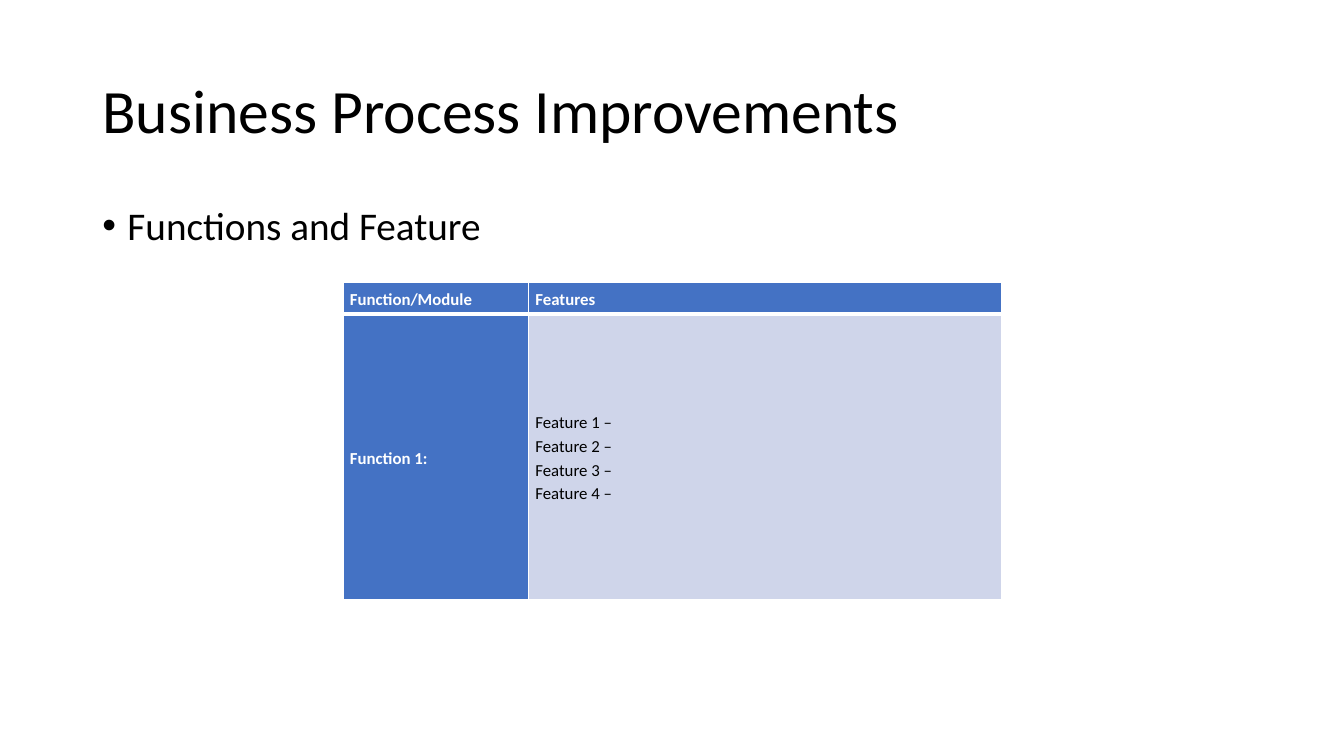
from dataclasses import dataclass

from lxml import etree
from pptx import Presentation
from pptx.dml.color import RGBColor
from pptx.enum import text
from pptx.oxml import ns
from pptx.util import Pt


@dataclass(frozen=True)
class Theme:
    font: str = "Calibri"
    black: str = "000000"
    white: str = "FFFFFF"
    accent: str = "4472C4"
    tint: str = "CFD5EA"
    title: float = 44
    body: float = 28
    table: float = 12
    thin: float = 1
    thick: float = 3


@dataclass(frozen=True)
class CellSpec:
    lines: tuple[str, ...]
    heading: bool = True


THEME = Theme()
LEFT, WIDTH = 66, 828
COL_WIDTHS = (132.5, 337.7)
ROW_HEIGHTS = (22.4, 203.8)
ROWS = (
    (CellSpec(("Function/Module",)), CellSpec(("Features",))),
    (
        CellSpec(("Function 1:",)),
        CellSpec(("Feature 1 – ", "Feature 2 –\u00a0", "Feature 3 –", "Feature 4 – "), False),
    ),
)


def format_paragraph(p, size: float, color: str, spacing: float, bold: bool = False) -> None:
    p.alignment = text.PP_ALIGN.LEFT
    p.line_spacing = spacing
    for r in p.runs:
        r.font.name = THEME.font
        r.font.size = Pt(size)
        r.font.bold = bold
        r.font.color.rgb = RGBColor.from_string(color)


def place(sp, top: float, height: float) -> None:
    sp.left, sp.top, sp.width, sp.height = Pt(LEFT), Pt(top), Pt(WIDTH), Pt(height)


def add_bullet(p, indent: float) -> None:
    pPr = p._p.get_or_add_pPr()
    pPr.set("marL", str(Pt(indent)))
    pPr.set("indent", str(-Pt(indent)))
    etree.SubElement(pPr, ns.qn("a:buFont"), typeface="Arial")
    etree.SubElement(pPr, ns.qn("a:buChar"), char="•")


def add_borders(cell, top: float, bottom: float) -> None:
    tcPr = cell._tc.get_or_add_tcPr()
    widths = {"lnL": THEME.thin, "lnR": THEME.thin, "lnT": top, "lnB": bottom}
    for side, width in widths.items():
        ln = etree.SubElement(tcPr, ns.qn(f"a:{side}"), w=str(Pt(width)))
        fill = etree.SubElement(ln, ns.qn("a:solidFill"))
        etree.SubElement(fill, ns.qn("a:srgbClr"), val=THEME.white)


def fill_cell(cell, spec: CellSpec, row: int) -> None:
    # The rule between header and body is the thick one
    add_borders(
        cell,
        top=THEME.thick if row == 1 else THEME.thin,
        bottom=THEME.thick if row == 0 else THEME.thin,
    )
    cell.fill.solid()
    cell.fill.fore_color.rgb = RGBColor.from_string(THEME.accent if spec.heading else THEME.tint)
    cell.vertical_anchor = text.MSO_ANCHOR.MIDDLE
    cell.margin_left = cell.margin_right = Pt(5)
    cell.margin_top, cell.margin_bottom = Pt(0.7), Pt(0)
    cell.text_frame.text = "\n".join(spec.lines)
    color = THEME.white if spec.heading else THEME.black
    for p in cell.text_frame.paragraphs:
        format_paragraph(p, THEME.table, color, 1.15, spec.heading)


prs = Presentation()
prs.slide_width, prs.slide_height = Pt(960), Pt(540)
s = prs.slides.add_slide(prs.slide_layouts.get_by_name("Title Only"))

# Title
title = s.shapes.title
place(title, 28.75, 104.4)
tf = title.text_frame
tf.text = "Business Process Improvements"
tf.vertical_anchor = text.MSO_ANCHOR.MIDDLE
tf.auto_size = text.MSO_AUTO_SIZE.NONE
format_paragraph(tf.paragraphs[0], THEME.title, THEME.black, 0.9)

# Bulleted subject
subject = s.shapes.add_textbox(0, 0, 0, 0)
place(subject, 143.75, 342.6)
tf = subject.text_frame
tf.word_wrap = True
tf.text = "Functions and Feature"
p = tf.paragraphs[0]
format_paragraph(p, THEME.body, THEME.black, 0.9)
p.space_before = Pt(10)
add_bullet(p, 18)

# Function and feature table
table = s.shapes.add_table(
    len(ROWS), len(COL_WIDTHS), Pt(245), Pt(201.8), Pt(sum(COL_WIDTHS)), Pt(sum(ROW_HEIGHTS))
).table
table.first_col = True
table.horz_banding = False
for column, width in zip(table.columns, COL_WIDTHS):
    column.width = Pt(width)
for i, (row, height) in enumerate(zip(table.rows, ROW_HEIGHTS)):
    row.height = Pt(height)
    for cell, spec in zip(row.cells, ROWS[i]):
        fill_cell(cell, spec, i)

prs.save("out.pptx")
